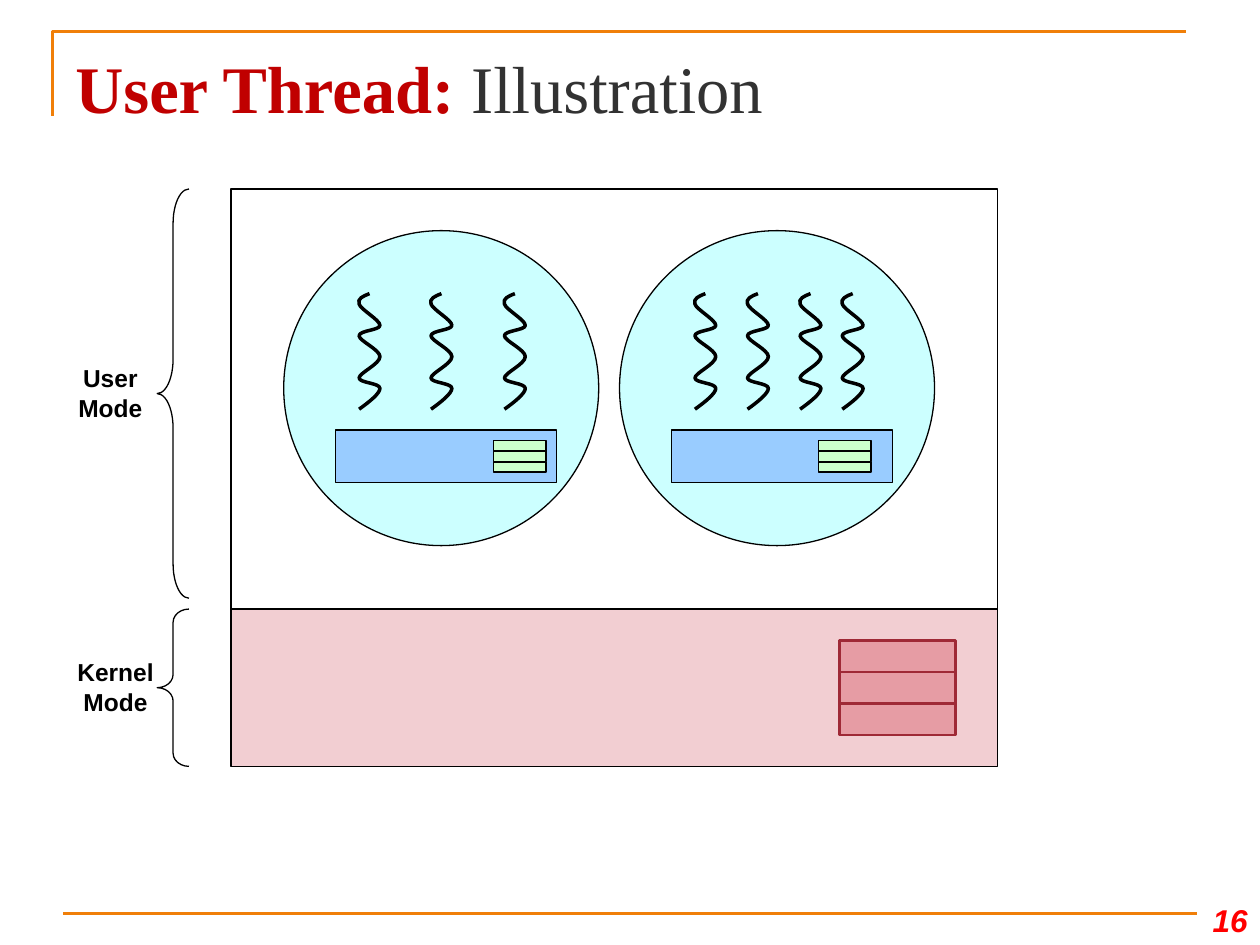
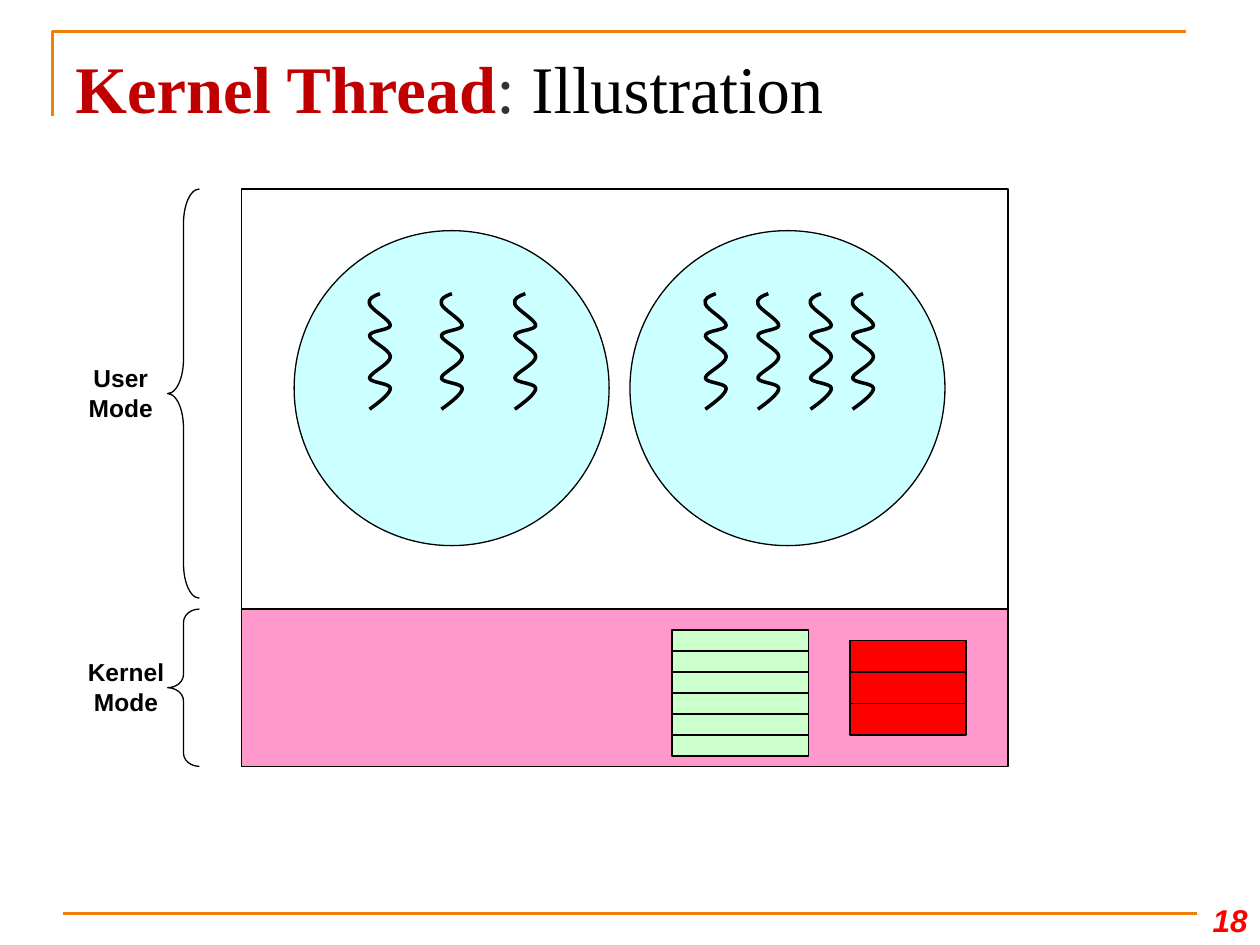
import collections

import lxml.etree
import pptx
import pptx.dml.color
import pptx.enum.shapes
import pptx.enum.text
import pptx.oxml
import pptx.oxml.ns
import pptx.util

Cm = pptx.util.Cm
Pt = pptx.util.Pt
SHAPES = pptx.enum.shapes.MSO_SHAPE
ALIGN = pptx.enum.text.PP_ALIGN
ANCHOR = pptx.enum.text.MSO_ANCHOR

COLOURS = {
    "rule": "F07F09",
    "topic": "C00000",
    "grey": "323232",
    "black": "000000",
    "red": "FF0000",
    "process": "CCFFFF",
    "run_time": "99CCFF",
    "thread_table": "CCFFCC",
    "pale_kernel": "F2CED2",
    "pink_kernel": "FF99CC",
    "pale_stack": "E69CA4",
    "dark_red": "9F2936",
}

Box = collections.namedtuple("Box", "left top width height")
Stack = collections.namedtuple("Stack", "fill line weight")

# Lengths below are centimetres.
DIAGRAM_TOP = 3.81
FRAME_OFFSET = 3.39
FRAME_WIDTH = 15.45
USER_HEIGHT = 8.47
KERNEL_HEIGHT = 3.17
PROCESS_SIZE = 6.35
PROCESS_PITCH = 6.77
PROCESS_THREADS = [(1.48, 2.93, 4.41), (1.48, 2.54, 3.6, 4.45)]
TABLE_OFFSETS = [3.18, 2.96]
# The start, then two control points and an end for each curve.
SQUIGGLE = [
    (0.25, 0),
    (0.12, 0.05), (0, 0.1), (0.04, 0.21),
    (0.07, 0.32), (0.46, 0.53), (0.46, 0.64),
    (0.46, 0.74), (0.04, 0.74), (0.04, 0.85),
    (0.04, 0.95), (0.46, 1.13), (0.46, 1.27),
    (0.46, 1.42), (0.04, 1.6), (0.04, 1.7),
    (0.04, 1.8), (0.46, 1.8), (0.46, 1.91),
    (0.46, 2.01), (0.25, 2.18), (0.04, 2.33),
]


def rgb(name):
    return pptx.dml.color.RGBColor.from_string(COLOURS[name])


def style_shape(shape, fill=None, line="black", weight=0.75):
    shape.shadow.inherit = False
    if fill:
        shape.fill.solid()
        shape.fill.fore_color.rgb = rgb(fill)
    else:
        shape.fill.background()
    shape.line.color.rgb = rgb(line)
    shape.line.width = Pt(weight)


def add_shape(slide, kind, box, **style):
    shape = slide.shapes.add_shape(kind, *map(Cm, box))
    style_shape(shape, **style)
    return shape


def add_outline(slide, points, **style):
    """Draw an open, unfilled line through the points."""
    corners = [(Cm(x), Cm(y)) for x, y in points]
    builder = slide.shapes.build_freeform(*corners[0])
    builder.add_line_segments(corners[1:], close=False)
    shape = builder.convert_to_shape()
    style_shape(shape, **style)
    return shape


def bend_segments(shape):
    """Turn every three straight segments into one cubic curve."""
    qn = pptx.oxml.ns.qn
    segments = list(shape._element.iter(qn("a:lnTo")))
    for start in range(0, len(segments), 3):
        triple = segments[start:start + 3]
        curve = lxml.etree.Element(qn("a:cubicBezTo"))
        triple[0].addprevious(curve)
        for segment in triple:
            curve.append(segment[0])
            segment.getparent().remove(segment)


def add_text(slide, box, runs, font, size, align, anchor=ANCHOR.TOP, italic=False):
    """Write one paragraph from (text, colour, bold) runs."""
    text_frame = slide.shapes.add_textbox(*map(Cm, box)).text_frame
    text_frame.word_wrap = True
    text_frame.vertical_anchor = anchor
    paragraph = text_frame.paragraphs[0]
    paragraph.alignment = align
    for text, colour, bold in runs:
        run = paragraph.add_run()
        run.text = text
        run.font.name = font
        run.font.size = Pt(size)
        run.font.bold = bold
        run.font.italic = italic
        run.font.color.rgb = rgb(colour)


def add_page(presentation, title_runs, number):
    """Add a slide with the title, the orange rules and the page number."""
    slide = presentation.slides.add_slide(presentation.slide_layouts[6])
    add_outline(slide, [(1.06, 2.33), (1.06, 0.63), (23.91, 0.63)], line="rule", weight=1.5)
    footer = slide.shapes.add_connector(
        pptx.enum.shapes.MSO_CONNECTOR.STRAIGHT, Cm(1.27), Cm(18.42), Cm(24.13), Cm(18.42))
    footer.line.color.rgb = rgb("rule")
    footer.line.width = Pt(1.5)
    footer._element.spPr.append(pptx.oxml.parse_xml(
        '<a:effectLst xmlns:a="http://schemas.openxmlformats.org/drawingml/2006/main"/>'))
    add_text(slide, Box(23.92, 17.78, 1.48, 1.27), [(number, "red", True)],
             "Arial", 18, ALIGN.RIGHT, ANCHOR.BOTTOM, italic=True)
    add_text(slide, Box(1.27, 0.76, 22.86, 1.98), title_runs,
             "Times New Roman", 38, ALIGN.LEFT, ANCHOR.MIDDLE)
    return slide


def add_stack(slide, box, rows, stack):
    """Fill the box with equal rows."""
    row_height = box.height / rows
    for row in range(rows):
        row_box = box._replace(top=box.top + row * row_height, height=row_height)
        add_shape(slide, SHAPES.RECTANGLE, row_box, **stack._asdict())


def add_thread(slide, left, top):
    bend_segments(add_outline(slide, [(left + x, top + y) for x, y in SQUIGGLE], weight=2))


def add_process(slide, box, thread_offsets):
    add_shape(slide, SHAPES.OVAL, box, fill="process")
    for offset in thread_offsets:
        add_thread(slide, box.left + offset, box.top + 1.27)


def add_run_time(slide, process, table_offset):
    """Add the bar inside a process that holds its own thread table."""
    bar = Box(process.left + 1.05, process.top + 4.02, 4.45, 1.06)
    add_shape(slide, SHAPES.RECTANGLE, bar, fill="run_time")
    add_stack(slide, Box(bar.left + table_offset, bar.top + 0.21, 1.06, 0.64), 3,
              Stack("thread_table", "black", 1))


def add_mode_label(slide, text, label, brace, bend):
    shape = add_shape(slide, SHAPES.LEFT_BRACE, brace)
    shape.adjustments[0] = bend
    shape.adjustments[1] = 0.5
    add_text(slide, label, [(text, "black", True)], "Arial", 14, ALIGN.CENTER)


def add_diagram(slide, left, kernel_fill, process_stack, user_tables):
    """Draw both modes; thread tables sit in the processes or in the kernel."""
    user = Box(left + FRAME_OFFSET, DIAGRAM_TOP, FRAME_WIDTH, USER_HEIGHT)
    kernel = user._replace(top=user.top + USER_HEIGHT, height=KERNEL_HEIGHT)
    add_shape(slide, SHAPES.RECTANGLE, user)
    add_shape(slide, SHAPES.RECTANGLE, kernel, fill=kernel_fill)

    for index, thread_offsets in enumerate(PROCESS_THREADS):
        process = Box(user.left + 1.06 + index * PROCESS_PITCH, user.top + 0.84,
                      PROCESS_SIZE, PROCESS_SIZE)
        add_process(slide, process, thread_offsets)
        if user_tables:
            add_run_time(slide, process, TABLE_OFFSETS[index])

    add_stack(slide, Box(kernel.left + 12.27, kernel.top + 0.63, 2.33, 1.91), 3, process_stack)
    if not user_tables:
        add_stack(slide, Box(kernel.left + 8.68, kernel.top + 0.42, 2.75, 2.54), 6,
                  Stack("thread_table", "black", 1))

    brace_left = left + 1.9
    add_mode_label(slide, "User Mode", Box(left, user.top + 3.39, 1.91, 1.45),
                   Box(brace_left, user.top, 0.64, 8.25), 1.083)
    add_mode_label(slide, "Kernel Mode", Box(left, kernel.top + 0.85, 2.12, 1.45),
                   Box(brace_left, kernel.top, 0.64, KERNEL_HEIGHT), 0.417)


def main():
    presentation = pptx.Presentation()
    presentation.slide_width = Cm(25.4)
    presentation.slide_height = Cm(19.05)

    user_slide = add_page(
        presentation, [("User Thread: ", "topic", True), ("Illustration", "grey", False)], "16")
    add_diagram(user_slide, 1.27, "pale_kernel", Stack("pale_stack", "dark_red", 1.5),
                user_tables=True)

    kernel_slide = add_page(
        presentation,
        [("Kernel Thread", "topic", True), (": ", "grey", False), ("Illustration", "black", False)],
        "18")
    add_diagram(kernel_slide, 1.48, "pink_kernel", Stack("red", "black", 1),
                user_tables=False)

    presentation.save("out.pptx")


if __name__ == "__main__":
    main()
